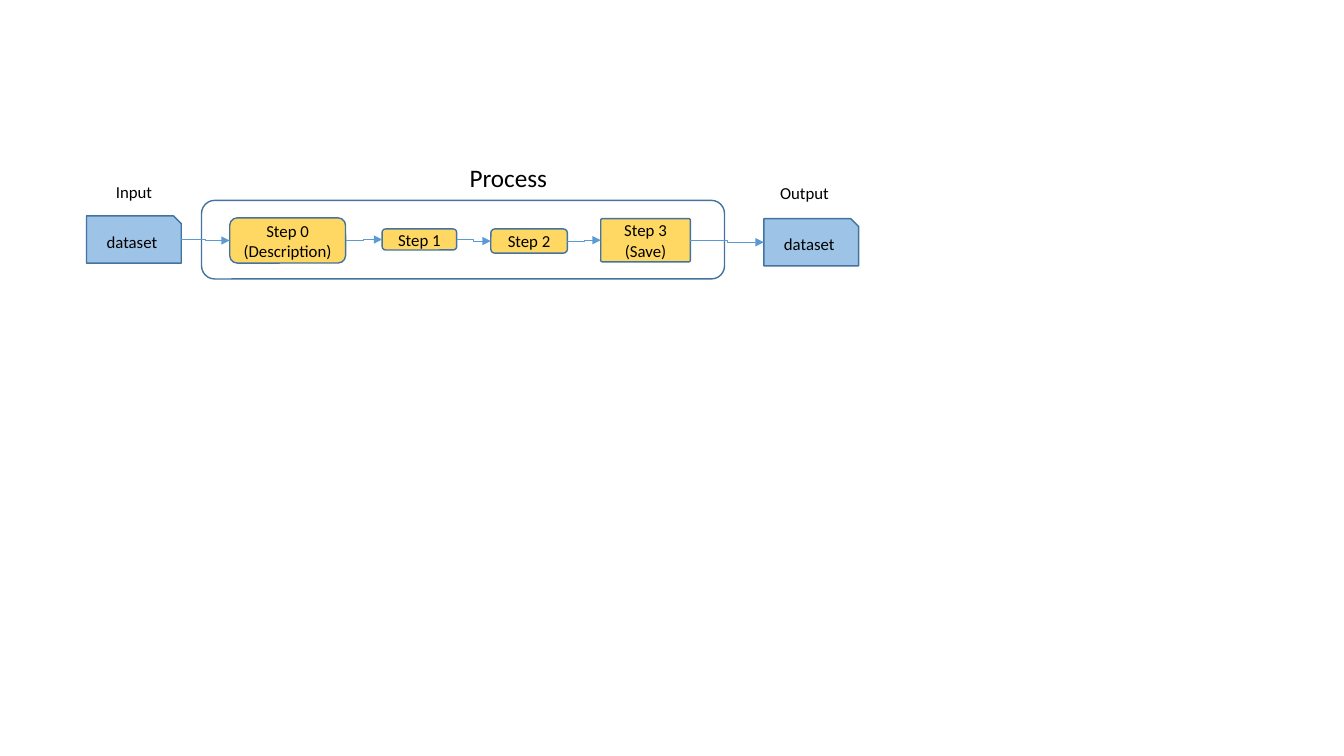
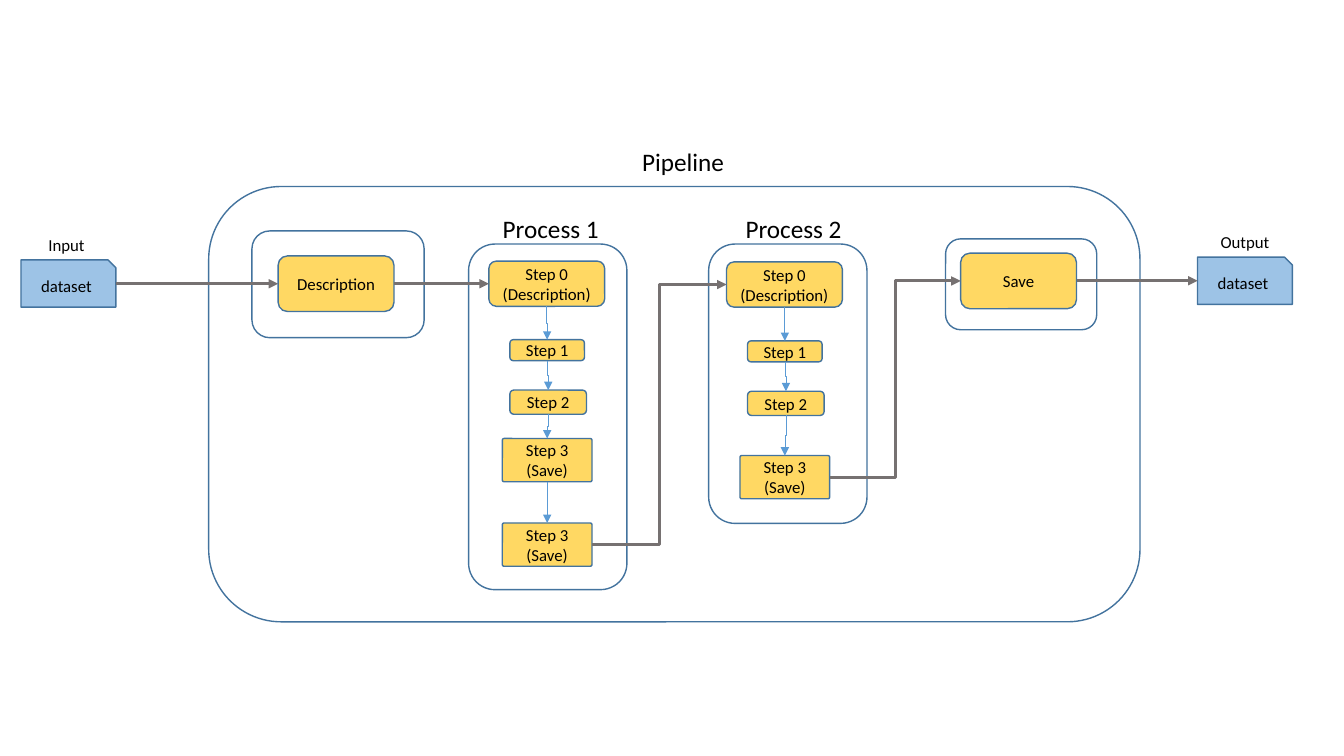
from dataclasses import dataclass

import pptx
import pptx.dml.color
import pptx.enum.shapes
import pptx.enum.text
import pptx.oxml
import pptx.oxml.ns
import pptx.util

Cm = pptx.util.Cm
SHAPES = pptx.enum.shapes.MSO_SHAPE
ALIGN = pptx.enum.text.PP_ALIGN
ANCHOR = pptx.enum.text.MSO_ANCHOR
TOP, LEFT, BOTTOM, RIGHT = range(4)  # connection sites of a rounded rectangle


@dataclass(frozen=True)
class Theme:
    font: str = "Calibri"
    text: str = "000000"
    outline: str = "43739E"
    step: str = "FFC000"
    step_opacity: int = 61
    dataset: str = "9DC3E6"
    step_arrow: str = "5B9BD5"
    flow_arrow: str = "767171"
    body_size: int = 12
    heading_size: int = 18
    outline_width: float = 1
    step_arrow_width: float = 0.5
    flow_arrow_width: float = 2.25


# Each kind of step: text, width, height, offset from the left of a column
STEPS = (
    ("Step 0 (Description)", 2.92, 1.14, 0),
    ("Step 1", 1.88, 0.53, 0.53),
    ("Step 2", 1.93, 0.61, 0.53),
    ("Step 3 (Save)", 2.26, 1.09, 0.34),
)
SAVE_STEP = 3


def rgb(value):
    return pptx.dml.color.RGBColor.from_string(value)


def drawing_element(parent, tag, **attributes):
    """Append a DrawingML element to parent."""
    child = pptx.oxml.parse_xml(f"<a:{tag} {pptx.oxml.ns.nsdecls('a')}/>")
    for name, value in attributes.items():
        child.set(name, value)
    parent.append(child)


class Diagram:
    """Holds the style and the current slide."""

    def __init__(self, theme):
        self.theme = theme
        self.deck = pptx.Presentation()
        self.deck.slide_width = Cm(33.87)
        self.deck.slide_height = Cm(19.05)
        self.page = None

    def new_page(self):
        self.page = self.deck.slides.add_slide(self.deck.slide_layouts[5])

    # Text
    def set_text(self, box, text, size, align, anchor):
        frame = box.text_frame
        frame.text = text
        frame.vertical_anchor = anchor
        for para in frame.paragraphs:
            para.alignment = align
            for span in para.runs:
                span.font.name = self.theme.font
                span.font.size = pptx.util.Pt(size)
                span.font.color.rgb = rgb(self.theme.text)

    def title(self, text, left, top, width):
        box = self.page.shapes.title
        box.left, box.top, box.width, box.height = map(Cm, (left, top, width, 1.02))
        box.text_frame.word_wrap = False
        self.set_text(box, text, self.theme.heading_size, ALIGN.LEFT, ANCHOR.TOP)

    def label(self, text, left, top, width, height=0.76, size=None, wrap=True):
        box = self.page.shapes.add_textbox(*map(Cm, (left, top, width, height)))
        box.text_frame.word_wrap = wrap
        self.set_text(box, text, size or self.theme.body_size, ALIGN.LEFT, ANCHOR.TOP)

    def heading(self, text, left, top):
        self.label(text, left, top, 2.95, 1.02, self.theme.heading_size, wrap=False)

    # Boxes
    def outlined(self, kind, left, top, width, height):
        box = self.page.shapes.add_shape(kind, *map(Cm, (left, top, width, height)))
        box.shadow.inherit = False
        box.line.color.rgb = rgb(self.theme.outline)
        box.line.width = pptx.util.Pt(self.theme.outline_width)
        return box

    def frame(self, left, top, width, height):
        self.outlined(SHAPES.ROUNDED_RECTANGLE, left, top, width, height).fill.background()

    def filled(self, kind, text, color, left, top, width, height):
        box = self.outlined(kind, left, top, width, height)
        box.fill.solid()
        box.fill.fore_color.rgb = rgb(color)
        self.set_text(box, text, self.theme.body_size, ALIGN.CENTER, ANCHOR.MIDDLE)
        return box

    def dataset(self, left, top):
        return self.filled(SHAPES.SNIP_1_RECTANGLE, "dataset", self.theme.dataset,
                           left, top, 2.39, 1.19)

    def step_box(self, text, left, top, width, height):
        box = self.filled(SHAPES.ROUNDED_RECTANGLE, text, self.theme.step,
                          left, top, width, height)
        fill = box.element.spPr.find(pptx.oxml.ns.qn("a:solidFill"))
        drawing_element(fill[0], "alpha", val=str(self.theme.step_opacity * 1000))
        return box

    def step(self, number, left, top):
        text, width, height, _ = STEPS[number]
        box = self.step_box(text, left, top, width, height)
        if number == SAVE_STEP:
            box.adjustments[0] = 0.04
        return box

    def column(self, left, tops):
        """Stack steps downwards; any extra tops repeat the saving step."""
        boxes = []
        for index, top in enumerate(tops):
            number = min(index, SAVE_STEP)
            boxes.append(self.step(number, left + STEPS[number][3], top))
        for start, end in zip(boxes, boxes[1:]):
            self.arrow(start, end, down=True)
        return boxes

    # Arrows
    def arrow(self, start, end, flow=False, down=False):
        connector = self.page.shapes.add_connector(
            pptx.enum.shapes.MSO_CONNECTOR.ELBOW, 0, 0, 0, 0)
        if start.auto_shape_type == SHAPES.ROUNDED_RECTANGLE:
            connector.begin_connect(start, BOTTOM if down else RIGHT)
        if end.auto_shape_type == SHAPES.ROUNDED_RECTANGLE:
            connector.end_connect(end, TOP if down else LEFT)

        if down:
            points = self.turn_down(connector, start, end)
        else:
            points = (start.left + start.width, start.top + start.height // 2,
                      end.left, end.top + end.height // 2)
        connector.begin_x, connector.begin_y, connector.end_x, connector.end_y = points

        theme = self.theme
        color, width = ((theme.flow_arrow, theme.flow_arrow_width) if flow
                        else (theme.step_arrow, theme.step_arrow_width))
        connector.line.color.rgb = rgb(color)
        connector.line.width = pptx.util.Pt(width)
        properties = connector.element.spPr
        line = properties.find(pptx.oxml.ns.qn("a:ln"))
        drawing_element(line, "tailEnd", type="triangle")
        drawing_element(properties, "effectLst")

    def turn_down(self, connector, start, end):
        """Rotate the connector a quarter turn; return its ends before turning."""
        x1, y1 = start.left + start.width // 2, start.top + start.height
        x2, y2 = end.left + end.width // 2, end.top
        side, angle = (-1, 270) if x2 > x1 else (1, 90)
        connector.element.spPr.xfrm.set("rot", str(angle * 60000))
        middle_x, middle_y = (x1 + x2) // 2, (y1 + y2) // 2
        half_run, half_jog = (y2 - y1) // 2, abs(x2 - x1) // 2
        return (middle_x - side * half_run, middle_y - half_jog,
                middle_x + side * half_run, middle_y + half_jog)

    def chain(self, boxes, flow=False):
        for start, end in zip(boxes, boxes[1:]):
            self.arrow(start, end, flow)


def process_page(diagram):
    diagram.new_page()
    diagram.title("Process", 11.58, 3.96, 2.49)
    diagram.frame(5.08, 5.05, 13.18, 1.98)

    # Input, steps and output in one row
    places = ((5.79, 5.49), (9.63, 5.77), (12.37, 5.77), (15.14, 5.51))
    steps = [diagram.step(number, *place) for number, place in enumerate(places)]
    diagram.label("Input", 2.67, 4.45, 1.42)
    diagram.label("Output", 19.41, 4.47, 1.75)
    diagram.chain([diagram.dataset(2.18, 5.44), *steps, diagram.dataset(19.25, 5.51)])


def pipeline_page(diagram):
    diagram.new_page()
    diagram.title("Pipeline", 15.93, 3.56, 2.59)

    # Frames: pipeline, description, two processes, save
    for place in ((5.26, 4.7, 23.47, 10.97), (6.35, 5.82, 4.34, 2.69),
                  (11.81, 6.15, 3.99, 8.71), (17.86, 6.15, 3.99, 7.04),
                  (23.83, 6.02, 3.81, 2.29)):
        diagram.frame(*place)

    # Ends of the pipeline
    diagram.label("Input", 0.97, 5.79, 1.42)
    diagram.label("Output", 30.51, 5.72, 1.75)
    source = diagram.dataset(0.53, 6.55)
    target = diagram.dataset(30.18, 6.48)
    description = diagram.step_box("Description", 7.01, 6.45, 2.92, 1.4)
    save = diagram.step_box("Save", 24.21, 6.38, 2.92, 1.4)

    # Processes
    diagram.heading("Process 1", 12.42, 5.26)
    first = diagram.column(12.32, (6.58, 8.56, 9.83, 11.05, 13.18))
    diagram.heading("Process 2", 18.54, 5.26)
    second = diagram.column(18.31, (6.6, 8.59, 9.86, 11.48))

    # Flow between the parts
    diagram.chain([source, description, first[0]], flow=True)
    diagram.arrow(first[-1], second[0], flow=True)
    diagram.chain([second[-1], save, target], flow=True)


def main():
    diagram = Diagram(Theme())
    process_page(diagram)
    pipeline_page(diagram)
    diagram.deck.save("out.pptx")


if __name__ == "__main__":
    main()
